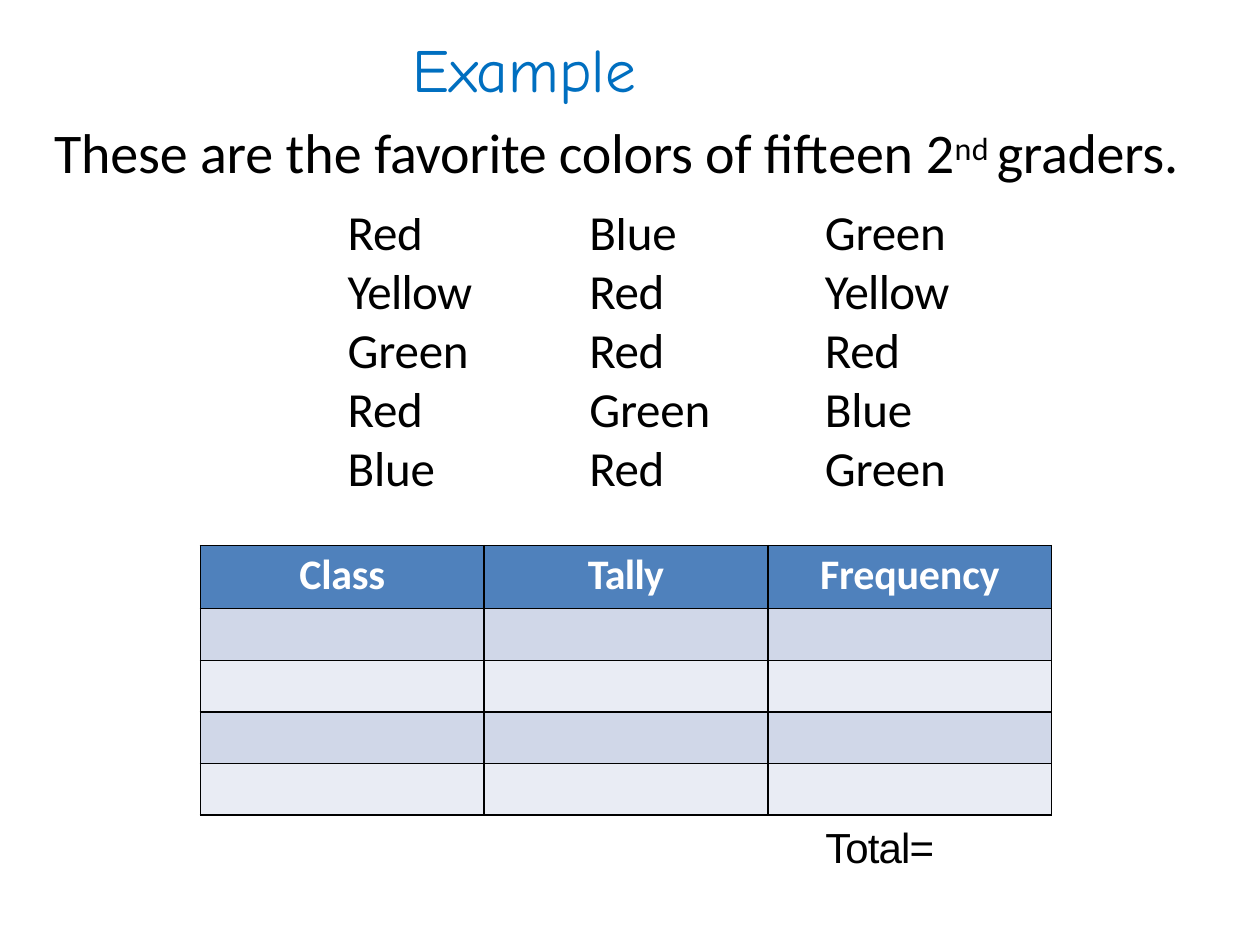
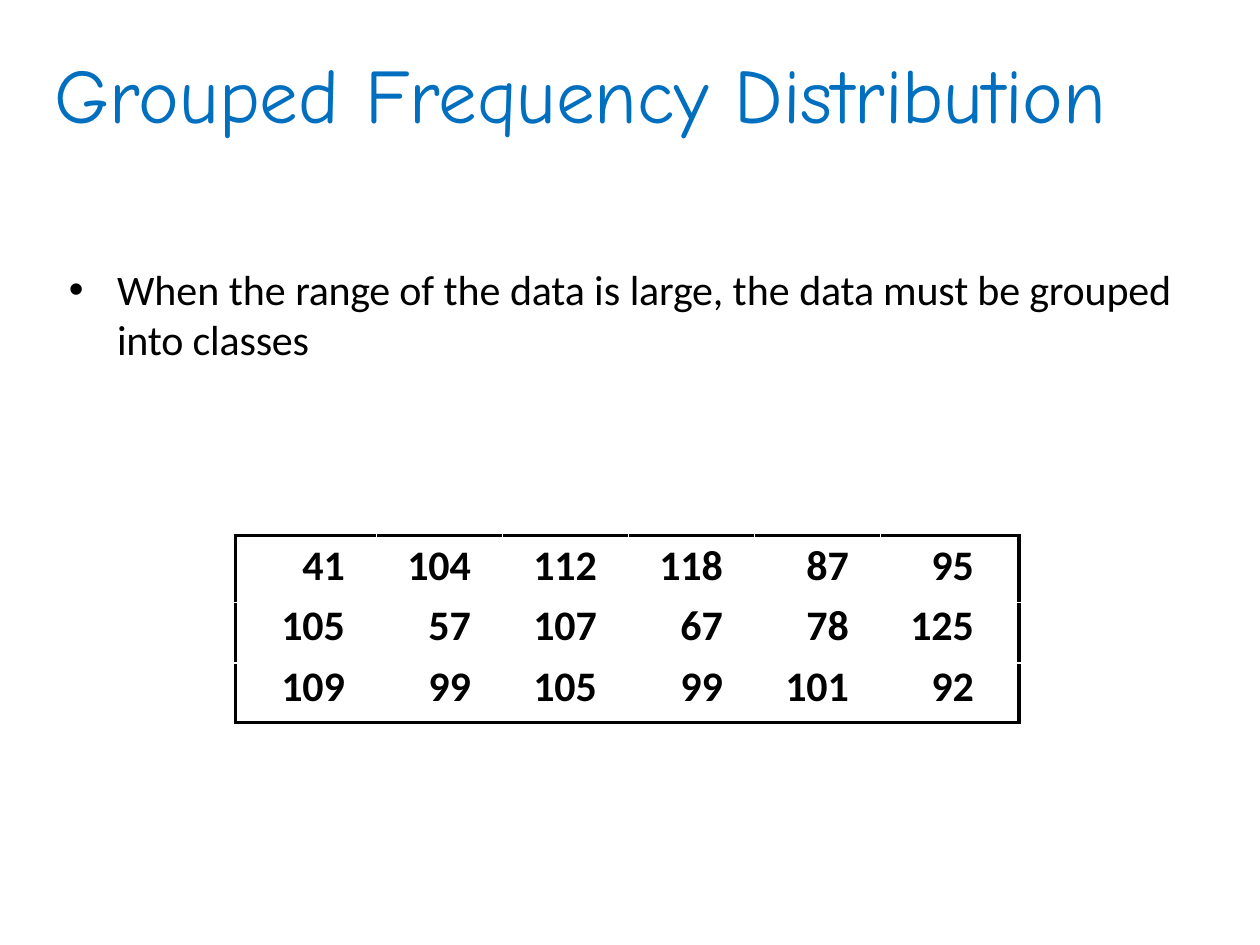
import lxml.etree
import pptx
import pptx.dml.color
import pptx.enum.text
import pptx.oxml.ns
import pptx.util

Cm = pptx.util.Cm
Pt = pptx.util.Pt
ALIGN = pptx.enum.text.PP_ALIGN

COLORS = {
    "title": "006FC0",
    "text": "000000",
    "border": "000000",
    "header": "4F81BC",
    "header_text": "FFFFFF",
    "band_dark": "D0D7E8",
    "band_light": "E9ECF4",
}
TITLE_FONT, BODY_FONT, TOTAL_FONT = "Comic Neue", "Calibri", "Arial"


def rgb(name):
    """Return the palette colour with the given name."""
    return pptx.dml.color.RGBColor.from_string(COLORS[name])


def sub_element(parent, tag, **attributes):
    """Append a DrawingML element to parent and return it."""
    element = lxml.etree.SubElement(parent, pptx.oxml.ns.qn(tag))
    for key, value in attributes.items():
        element.set(key, str(value))
    return element


def add_run(paragraph, text, size, font=BODY_FONT, color="text", bold=False, spacing=0, baseline=0):
    """Add one styled run, with letter spacing in points and baseline in percent."""
    run = paragraph.add_run()
    run.text = text
    run.font.size = Pt(size)
    run.font.name = font
    run.font.bold = bold
    run.font.color.rgb = rgb(color)
    properties = run.font._element
    if spacing:
        properties.set("spc", str(round(spacing * 100)))
    if baseline:
        properties.set("baseline", str(baseline * 1000))


def indent(paragraph, left, first=0):
    """Set the left and first-line indents of a paragraph in centimetres."""
    properties = paragraph._p.get_or_add_pPr()
    properties.set("marL", str(Cm(left)))
    properties.set("indent", str(Cm(first)))


def zero_margins(holder, top=0, right=0):
    """Clear the margins of a cell or text frame, except those given."""
    holder.margin_left = holder.margin_bottom = 0
    holder.margin_top, holder.margin_right = Cm(top), Cm(right)


def add_text(slide, box, top_margin=0.03):
    """Add a wrapping text box and return its text frame."""
    frame = slide.shapes.add_textbox(*map(Cm, box)).text_frame
    frame.word_wrap = True
    zero_margins(frame, top_margin)
    return frame


def add_title(frame, text, size, left=0.03, before=1):
    """Write the title into the first paragraph of a text frame."""
    paragraph = frame.paragraphs[0]
    indent(paragraph, left)
    paragraph.space_before = Pt(before)
    add_run(paragraph, text, size, TITLE_FONT, "title")


def add_grid(slide, left, top, widths, heights):
    """Add an unfilled table with the given column widths and row heights."""
    table = slide.shapes.add_table(
        len(heights), len(widths), Cm(left), Cm(top), Cm(sum(widths)), Cm(sum(heights))
    ).table
    table.first_row = table.horz_banding = False
    for column, width in zip(table.columns, widths):
        column.width = Cm(width)
    for row, height in zip(table.rows, heights):
        row.height = Cm(height)
    for cell in table.iter_cells():
        cell.fill.background()
    return table


def set_borders(cell, sides, width):
    """Draw the given sides of a cell (letters from LRTB) in the border colour."""
    properties = cell._tc.get_or_add_tcPr()
    for position, side in enumerate(side for side in "LRTB" if side in sides):
        line = sub_element(properties, f"a:ln{side}", w=Pt(width))
        fill = sub_element(line, "a:solidFill")
        sub_element(fill, "a:srgbClr", val=COLORS["border"])
        properties.insert(position, line)


def add_example_heading(slide, box):
    """Add the example title with its introductory sentence."""
    frame = add_text(slide, box, 0.33)
    add_title(frame, "Example", 35, 7.32, 9.2)
    sentence = frame.add_paragraph()
    indent(sentence, 0.1)
    sentence.space_before = Pt(7.5)
    for text, spacing in (
        ("These are ", -0.1),
        ("the ", 0),
        ("favorite colors ", -0.2),
        ("of fifteen ", -0.1),
        ("2", 0.2),
    ):
        add_run(sentence, text, 32, spacing=spacing)
    add_run(sentence, "nd ", 31.5, spacing=0.3, baseline=25)
    add_run(sentence, "graders.", 32, spacing=-0.2)


def add_favorite_colors(slide, left, top):
    """Add the list of favorite colors in three columns."""
    answers = (
        ("Red", "Blue", "Green"),
        ("Yellow", "Red", "Yellow"),
        ("Green", "Red", "Red"),
        ("Red", "Green", "Blue"),
        ("Blue", "Red", "Green"),
    )
    spacings = {"Red": -0.2, "Yellow": -0.4}
    table = add_grid(slide, left, top, (3.81, 4.75, 3.81), (1.09, 1.19, 1.19, 1.19, 1.09))
    for r, row in enumerate(answers):
        for c, answer in enumerate(row):
            cell = table.cell(r, c)
            zero_margins(cell)
            paragraph = cell.text_frame.paragraphs[0]
            indent(paragraph, 1.14 if c else 0.08)
            paragraph.line_spacing = Pt(29.4 if r else 26.6)
            add_run(paragraph, answer, 28, spacing=spacings.get(answer, -0.1))


def add_frequency_table(slide, left, top):
    """Add the empty frequency table with its header row."""
    table = add_grid(slide, left, top, [5.72] * 3, [1.27] + [1.04] * 4)
    table.first_row = True
    for r, row in enumerate(table.rows):
        band = "header" if r == 0 else "band_dark" if r % 2 else "band_light"
        for cell in row.cells:
            cell.fill.solid()
            cell.fill.fore_color.rgb = rgb(band)
            set_borders(cell, "LRTB", 1)
    for c, (heading, spacing) in enumerate((("Class", -0.1), ("Tally", -0.4), ("Frequency", -0.1))):
        cell = table.cell(0, c)
        zero_margins(cell, 0.08)
        paragraph = cell.text_frame.paragraphs[0]
        paragraph.alignment = ALIGN.CENTER
        paragraph.space_before = Pt(2.1)
        add_run(paragraph, heading, 24, color="header_text", bold=True, spacing=spacing)


def add_total(slide, box):
    """Add the label for the total under the frequency column."""
    paragraph = add_text(slide, box).paragraphs[0]
    indent(paragraph, 0.03)
    paragraph.space_before = Pt(1)
    add_run(paragraph, "Total=", 24, TOTAL_FONT, spacing=-0.5)


def add_grouping_rule(slide, box):
    """Add the bullet that says when data must be grouped."""
    paragraph = add_text(slide, box).paragraphs[0]
    indent(paragraph, 0.99, -0.97)
    paragraph.space_before = Pt(1)
    properties = paragraph._p.get_or_add_pPr()
    sub_element(properties, "a:buFont", typeface="Arial")
    sub_element(properties, "a:buChar", char="•")
    for text, spacing in (
        ("When the ", 0),
        ("range ", -0.2),
        ("of ", -0.1),
        ("the ", 0),
        ("data ", -0.1),
        ("is ", 0),
        ("large, ", -0.1),
        ("the ", 0),
        ("data must be grouped into classes", -0.1),
    ):
        add_run(paragraph, text, 24, spacing=spacing)


def add_data_values(slide, left, top):
    """Add the data values in a frame."""
    values = (
        (41, 104, 112, 118, 87, 95),
        (105, 57, 107, 67, 78, 125),
        (109, 99, 105, 99, 101, 92),
    )
    table = add_grid(slide, left, top, [2.84] + [2.54] * 4 + [2.79], (1.35, 1.22, 1.19))
    last_row, last_column = len(values) - 1, len(values[0]) - 1
    for r, row in enumerate(values):
        for c, value in enumerate(row):
            cell = table.cell(r, c)
            zero_margins(cell, 0 if r else 0.1, 0.91 if c == last_column else 0.64)
            edges = {"L": c == 0, "R": c == last_column, "T": r == 0, "B": r == last_row}
            set_borders(cell, [side for side, outer in edges.items() if outer], 2.25)
            paragraph = cell.text_frame.paragraphs[0]
            paragraph.alignment = ALIGN.RIGHT
            if r:
                paragraph.line_spacing = Pt(28.1)
            else:
                paragraph.space_before = Pt(2.5)
            add_run(paragraph, str(value), 24, bold=True, spacing=-0.1)


def build_example(slide):
    """Build the slide with the favorite colors example."""
    add_frequency_table(slide, 4.04, 11)
    add_total(slide, (16.61, 16.54, 2.36, 1.09))
    add_example_heading(slide, (0.99, 0.3, 23.27, 3.45))
    add_favorite_colors(slide, 6.93, 4.37)


def build_grouped(slide):
    """Build the slide on grouped frequency distributions."""
    add_grouping_rule(slide, (1.37, 5.28, 22.43, 2.11))
    add_title(add_text(slide, (1.07, 0.91, 23.22, 1.93)), "Grouped Frequency Distribution", 44)
    add_data_values(slide, 4.75, 10.8)


def main():
    """Build and save the presentation."""
    presentation = pptx.Presentation()
    presentation.slide_width, presentation.slide_height = Cm(25.4), Cm(19.05)
    for build in (build_example, build_grouped):
        build(presentation.slides.add_slide(presentation.slide_layouts[6]))
    presentation.save("out.pptx")


main()
